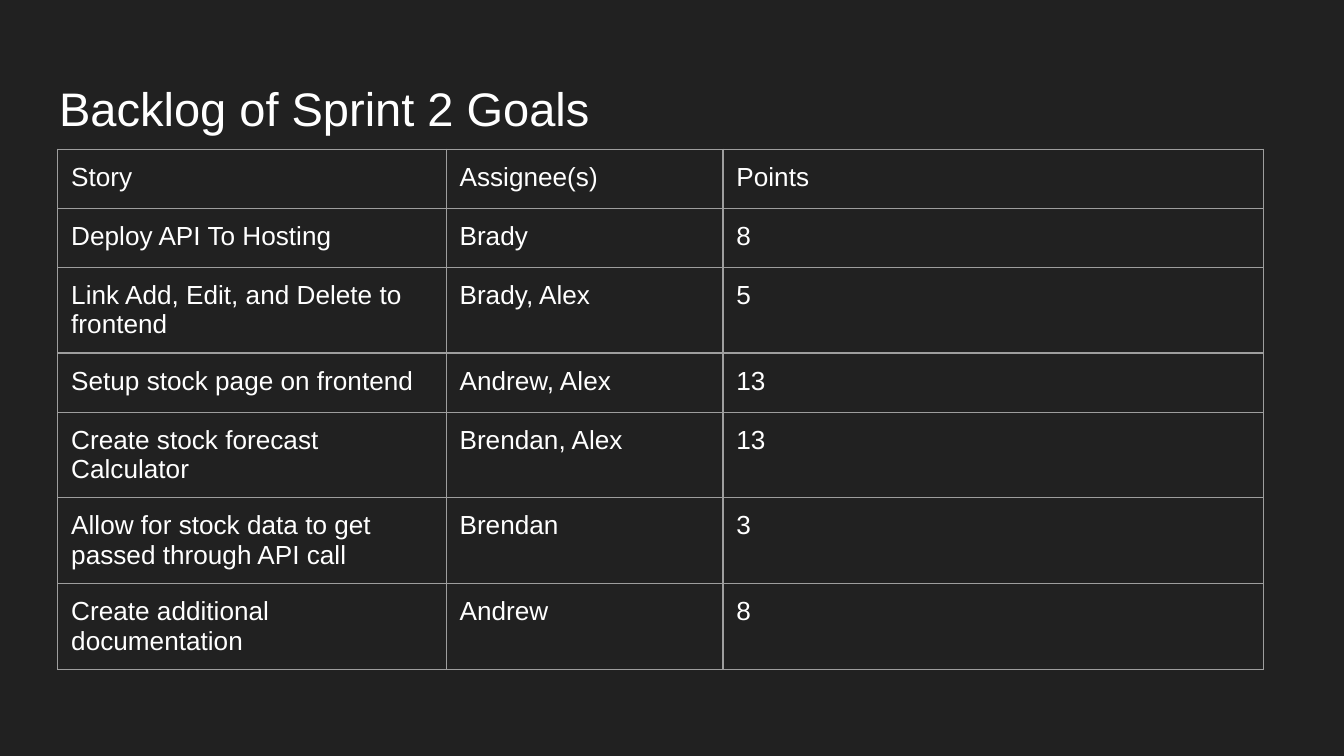
from typing import NamedTuple

from lxml.etree import SubElement
from pptx import Presentation
from pptx.dml.color import RGBColor
from pptx.enum.text import MSO_ANCHOR, MSO_AUTO_SIZE, PP_ALIGN
from pptx.oxml.ns import qn
from pptx.util import Inches, Pt

PAGE_WIDTH = 10
PAGE_HEIGHT = PAGE_WIDTH * 9 / 16
BACKGROUND, TEXT, BORDER = "212121", "FFFFFF", "9E9E9E"
FONT = "Arial"
INSET = Inches(0.1)
MARGINS = {f"margin_{side}": INSET for side in ("left", "top", "right", "bottom")}
COLUMN_WIDTHS = (2.89, 2.06, 4.02)
ONE_LINE, TWO_LINES = 0.44, 0.63


class Story(NamedTuple):
    name: str
    assignees: str
    points: str
    height: float = ONE_LINE


BACKLOG = (
    Story("Story", "Assignee(s)", "Points"),
    Story("Deploy API To Hosting", "Brady", "8"),
    Story("Link Add, Edit, and Delete to frontend", "Brady, Alex", "5", TWO_LINES),
    Story("Setup stock page on frontend", "Andrew, Alex", "13"),
    Story("Create stock forecast Calculator", "Brendan, Alex", "13", TWO_LINES),
    Story("Allow for stock data to get passed through API call", "Brendan", "3", TWO_LINES),
    Story("Create additional documentation", "Andrew", "8", TWO_LINES),
)


def color(value: str) -> RGBColor:
    return RGBColor.from_string(value)


def set_attributes(target, values: dict) -> None:
    for name, value in values.items():
        setattr(target, name, value)


def write_text(frame, text: str, size: float) -> None:
    paragraph = frame.paragraphs[0]
    paragraph.alignment = PP_ALIGN.LEFT
    span = paragraph.add_run()
    span.text = text
    set_attributes(span.font, {"name": FONT, "size": Pt(size), "bold": False})
    span.font.color.rgb = color(TEXT)


def add_borders(cell) -> None:
    properties = cell._tc.get_or_add_tcPr()
    for side in ("lnL", "lnR", "lnT", "lnB"):
        line = SubElement(properties, qn(f"a:{side}"), w=str(Pt(0.75)))
        fill = SubElement(line, qn("a:solidFill"))
        SubElement(fill, qn("a:srgbClr"), val=BORDER)


def add_title(page, text: str) -> None:
    title = page.shapes.title
    set_attributes(title, {"left": Inches(0.34), "top": Inches(0.49),
                           "width": Inches(9.32), "height": Inches(0.63)})
    set_attributes(title.text_frame, {**MARGINS, "word_wrap": True,
                                      "auto_size": MSO_AUTO_SIZE.NONE,
                                      "vertical_anchor": MSO_ANCHOR.TOP})
    write_text(title.text_frame, text, 25.2)


def add_backlog(page, stories: tuple[Story, ...]) -> None:
    width = Inches(sum(COLUMN_WIDTHS))
    height = Inches(sum(story.height for story in stories))
    table = page.shapes.add_table(len(stories), len(COLUMN_WIDTHS),
                                  Inches(0.43), Inches(1.11), width, height).table
    set_attributes(table, {"first_row": False, "horz_banding": False})
    for column, column_width in zip(table.columns, COLUMN_WIDTHS):
        column.width = Inches(column_width)
    for row, story in zip(table.rows, stories):
        row.height = Inches(story.height)
        for cell, text in zip(row.cells, (story.name, story.assignees, story.points)):
            set_attributes(cell, {**MARGINS, "vertical_anchor": MSO_ANCHOR.TOP})
            add_borders(cell)
            cell.fill.background()
            write_text(cell.text_frame, text, 14)


def main() -> None:
    deck = Presentation()
    set_attributes(deck, {"slide_width": Inches(PAGE_WIDTH),
                          "slide_height": Inches(PAGE_HEIGHT)})
    page = deck.slides.add_slide(deck.slide_layouts[5])
    page.background.fill.solid()
    page.background.fill.fore_color.rgb = color(BACKGROUND)
    add_title(page, "Backlog of Sprint 2 Goals")
    add_backlog(page, BACKLOG)
    deck.save("out.pptx")


if __name__ == "__main__":
    main()
